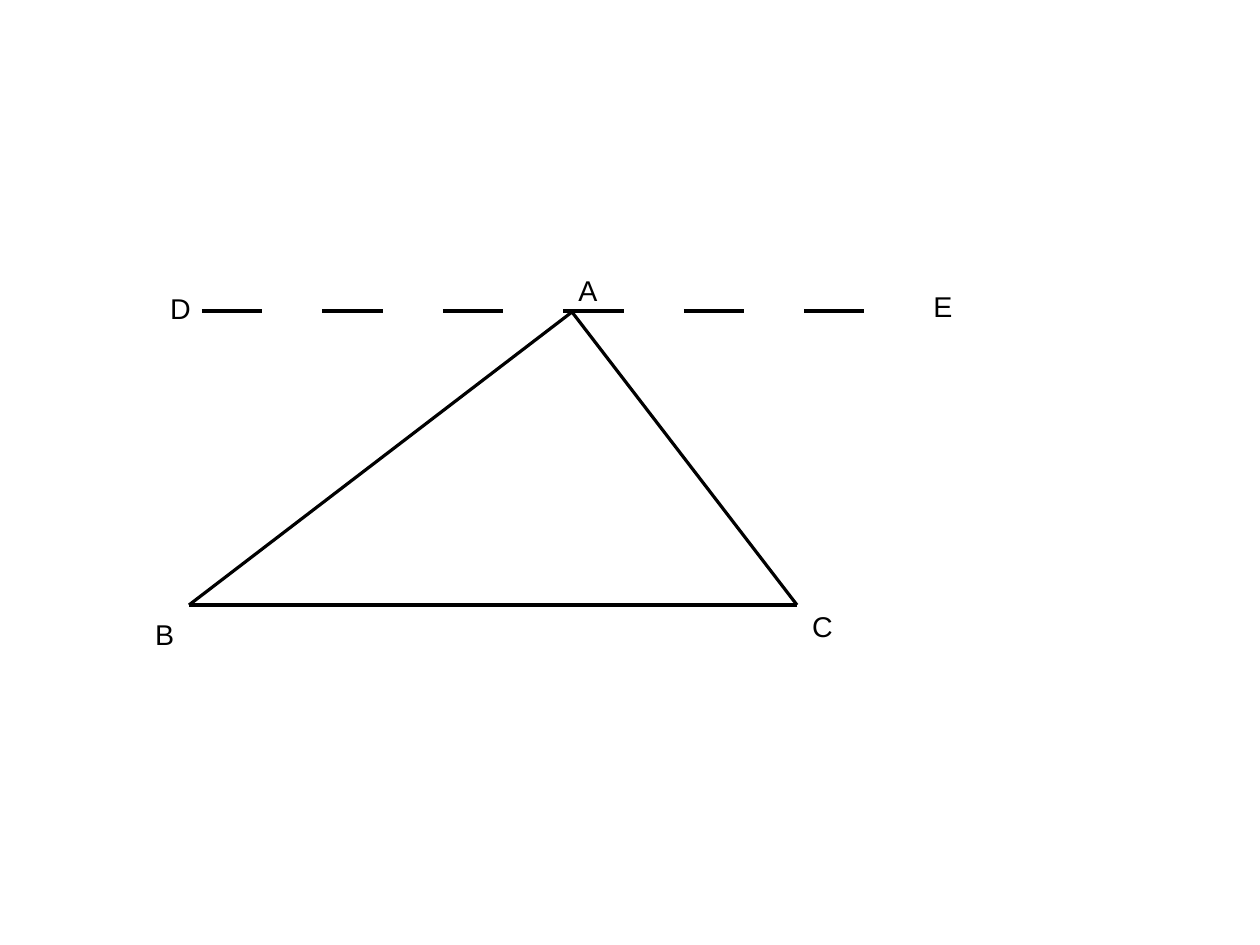
import pptx
import pptx.dml.color
import pptx.enum.shapes
import pptx.enum.text
import pptx.oxml.ns
import pptx.util
from lxml import etree

PX = 8000  # EMU
BLACK = pptx.dml.color.RGBColor(0, 0, 0)
DASH = "1885000"  # thousandths of a percent of the line width

VERTICES = {"A": (572, 312), "B": (189, 605), "C": (797, 605)}
SIDES = ("BC", "BA", "AC")
PARALLEL = ((202, 311), (900, 311))
LABELS = {  # left, top, width
    "A": (567, 267, 41),
    "D": (159, 285, 43),
    "E": (922, 283, 41),
    "B": (144, 611, 41),
    "C": (801, 603, 43),
}
LABEL_HEIGHT = 43
FRAME_FORMAT = {
    "word_wrap": False,
    "auto_size": pptx.enum.text.MSO_AUTO_SIZE.SHAPE_TO_FIT_TEXT,
}
FONT_FORMAT = {"name": "Arial", "size": pptx.util.Pt(18)}


def px(*lengths):
    return [pptx.util.Emu(length * PX) for length in lengths]


def set_format(target, values):
    for name, value in values.items():
        setattr(target, name, value)


def add_line(page, start, end, dashed=False):
    """Draw a black hairline between two points."""
    line = page.shapes.add_connector(
        pptx.enum.shapes.MSO_CONNECTOR.STRAIGHT, *px(*start, *end))
    line.line.color.rgb = BLACK
    line.line.width = 0
    properties = line._element.spPr
    if dashed:
        outline = properties.find(pptx.oxml.ns.qn("a:ln"))
        pattern = etree.SubElement(outline, pptx.oxml.ns.qn("a:custDash"))
        etree.SubElement(pattern, pptx.oxml.ns.qn("a:ds"), d=DASH, sp=DASH)
    etree.SubElement(properties, pptx.oxml.ns.qn("a:effectLst"))


def add_label(page, letter, left, top, width):
    box = page.shapes.add_textbox(*px(left, top, width, LABEL_HEIGHT))
    set_format(box.text_frame, FRAME_FORMAT)
    span = box.text_frame.paragraphs[0].add_run()
    span.text = letter
    set_format(span.font, FONT_FORMAT)
    span.font.color.rgb = BLACK


def main():
    deck = pptx.Presentation()
    deck.slide_width, deck.slide_height = px(1260, 945)
    page = deck.slides.add_slide(deck.slide_layouts[6])
    for start, end in SIDES:
        add_line(page, VERTICES[start], VERTICES[end])
    for letter, place in LABELS.items():
        add_label(page, letter, *place)
    add_line(page, *PARALLEL, dashed=True)
    deck.save("out.pptx")


if __name__ == "__main__":
    main()
